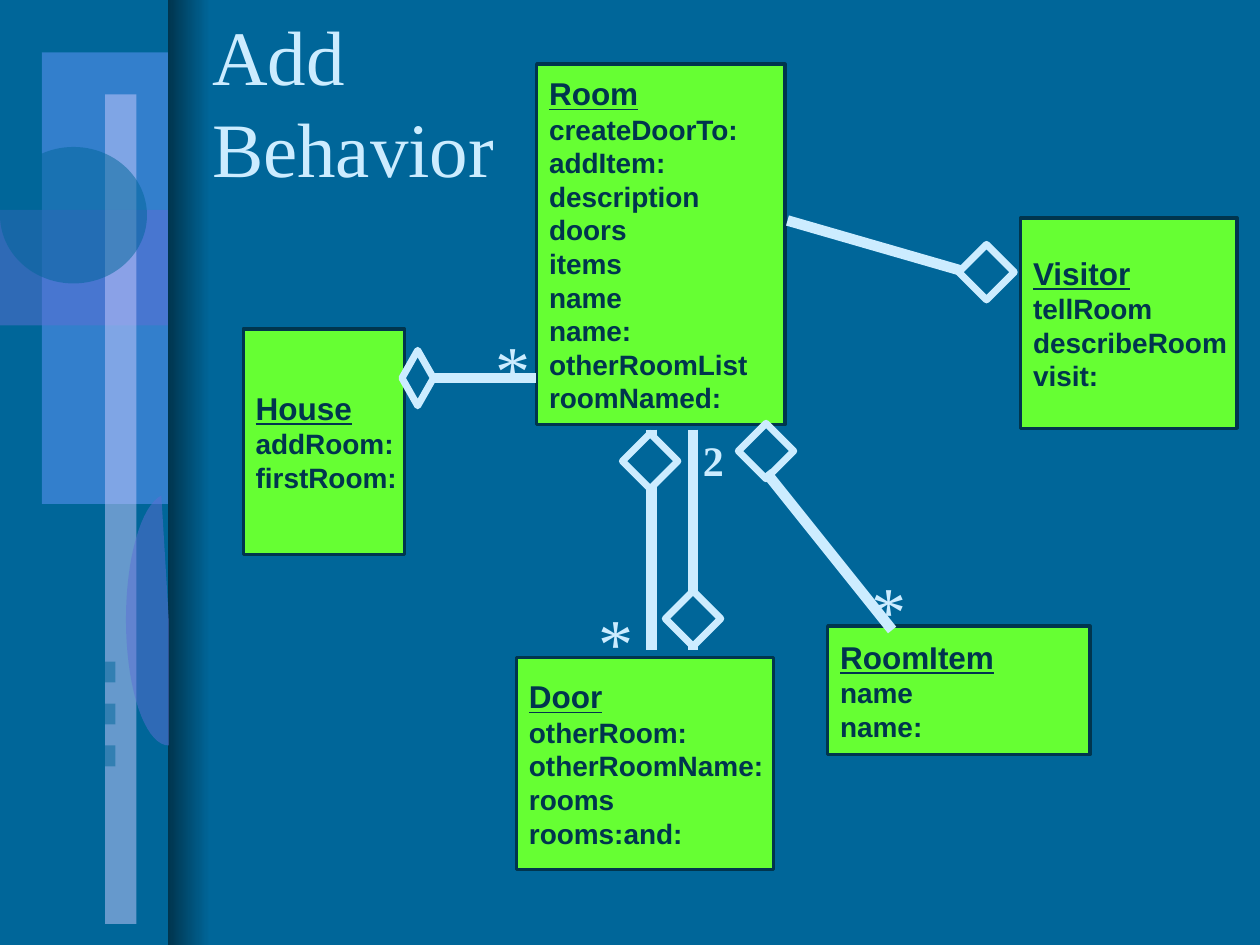
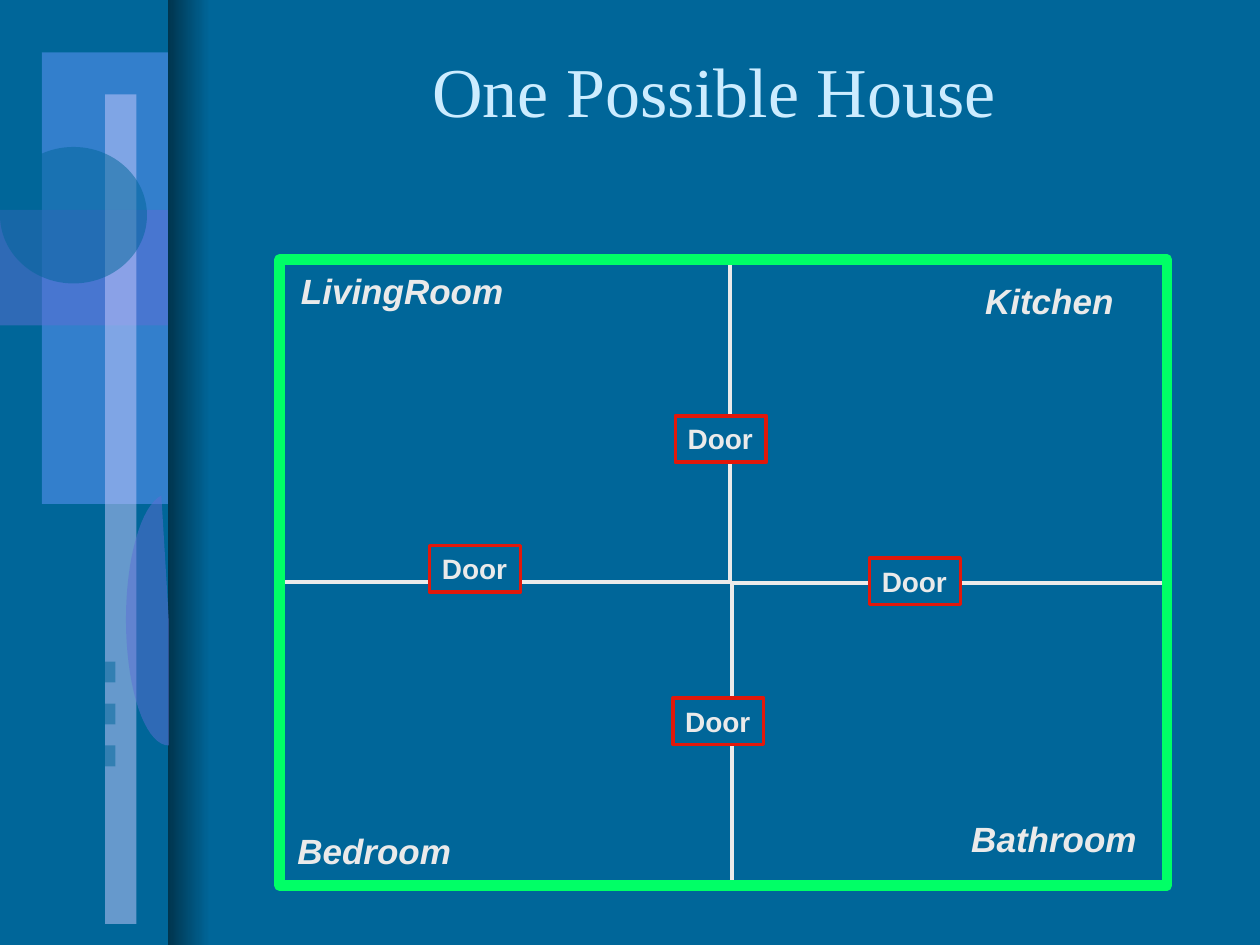
from math import cos, radians, sin

from lxml import etree
from pptx import Presentation
from pptx.dml.color import RGBColor
from pptx.enum.shapes import MSO_CONNECTOR, MSO_SHAPE
from pptx.enum.text import MSO_ANCHOR, MSO_AUTO_SIZE, PP_ALIGN
from pptx.oxml.ns import qn
from pptx.util import Pt

RECTANGLE, OVAL, DIAMOND = MSO_SHAPE.RECTANGLE, MSO_SHAPE.OVAL, MSO_SHAPE.DIAMOND
STRAIGHT = MSO_CONNECTOR.STRAIGHT
TOP, MIDDLE = MSO_ANCHOR.TOP, MSO_ANCHOR.MIDDLE
LEFT, CENTER = PP_ALIGN.LEFT, PP_ALIGN.CENTER
NO_FIT = MSO_AUTO_SIZE.NONE

SERIF, SANS = "Times New Roman", "Arial"
OCEAN, NAVY, ICE = "006699", "00354E", "CCECFF"
SKY, VIOLET, LILAC = "6699FF", "5E6FD4", "CCCCFF"
LIME, GREEN, RED, PALE = "66FF33", "00FF66", "E2180B", "EAEAEA"

PAGE_WIDTH, PAGE_HEIGHT = 720, 540

# Class name, members, box within the diagram
CLASSES = [
    ("House", ["addRoom:", "firstRoom:"], (0, 151.2, 92.2, 128.9)),
    ("Room", ["createDoorTo:", "addItem:", "description", "doors", "items", "name",
              "name:", "otherRoomList", "roomNamed:"], (167.7, 0, 141.8, 206)),
    ("Door", ["otherRoom:", "otherRoomName:", "rooms", "rooms:and:"],
     (156.2, 339.1, 146.9, 121)),
    ("Visitor", ["tellRoom", "describeRoom", "visit:"], (444.2, 87.9, 123.8, 120.2)),
    ("RoomItem", ["name", "name:"], (334, 321.1, 149.8, 73.4)),
]

# Line start, line end, diamond box, line drawn over the diamond
LINKS = [
    ((108, 179.3), (167, 179.3), (90.7, 163.5, 18, 31.7), False),
    ((233.2, 208.8), (233.2, 334.8), (216.7, 211, 31.7, 31.7), False),
    ((257, 208.8), (257, 334.8), (241.2, 301, 31.7, 31.7), False),
    ((298.8, 233.3), (370.8, 323.3), (282.9, 205.2, 31.7, 31.7), True),
    ((311, 89.3), (413.2, 118.8), (408.9, 103, 31.7, 31.7), False),
]
MANY_MARKS = [(136.8, 145.5), (195.8, 301.7), (352, 283.7)]
TWO_MARK = (255.6, 208.1)

# Room name, label box within the house
ROOMS = [
    ("LivingRoom", (5.1, 2.2, 130.3, 31)),
    ("Kitchen", (396, 8, 87.8, 31)),
    ("Bedroom", (3, 322, 102.2, 31)),
    ("Bathroom", (388.1, 315.5, 109.4, 31)),
]
DOORS = [(85.7, 163.5), (226.1, 89.3), (224.7, 250.6), (337, 170.7)]


def color(hex_code):
    return RGBColor.from_string(hex_code)


def points(values):
    return [Pt(value) for value in values]


def inside(area, box):
    """Shift a box or point from area coordinates to page coordinates."""
    return (area[0] + box[0], area[1] + box[1], *box[2:])


def style(shape, fill=None, line=None, width=2, alpha=None):
    shape.shadow.inherit = False
    if fill:
        shape.fill.solid()
        shape.fill.fore_color.rgb = color(fill)
    else:
        shape.fill.background()
    if alpha:
        tint = next(shape.element.iter(qn("a:srgbClr")))
        etree.SubElement(tint, qn("a:alpha"), val=str(alpha * 1000))
    if line:
        shape.line.color.rgb = color(line)
        shape.line.width = Pt(width)
    else:
        shape.line.fill.background()
    return shape


def draw(shapes, kind, box, **look):
    return style(shapes.add_shape(kind, *points(box)), **look)


def write(shape, lines, size, font, ink, bold=False, italic=False,
          anchor=TOP, align=LEFT, wrap=False):
    frame = shape.text_frame
    frame.text = "\n".join(lines)
    frame.auto_size = NO_FIT
    frame.word_wrap = wrap
    frame.vertical_anchor = anchor
    for para in frame.paragraphs:
        para.alignment = align
        para.font.name, para.font.size = font, Pt(size)
        para.font.bold, para.font.italic = bold, italic
        para.font.color.rgb = color(ink)
    return frame


def label(page, box, words, size, font, ink, **look):
    write(page.shapes.add_textbox(*points(box)), [words], size, font, ink, **look)


def set_title(page, box, words, size, align):
    title = page.shapes.title
    title.left, title.top, title.width, title.height = points(box)
    write(title, [words], size, SERIF, ICE, anchor=MIDDLE, align=align, wrap=True)


def side_panel(page, layout):
    """Draw the decorated left band and hand it over to the layout."""
    group = page.shapes.add_group_shape()
    shapes = group.shapes

    # Shaded edge
    edge = draw(shapes, RECTANGLE, (96, 0, 24, PAGE_HEIGHT), fill=OCEAN)
    edge.fill.gradient()
    edge.fill.gradient_angle = 180
    for stop, position, shade in zip(edge.fill.gradient_stops, (0, 1), (OCEAN, NAVY)):
        stop.position = position
        stop.color.rgb = color(shade)

    # Translucent blocks
    for kind, box, tint in [
        (RECTANGLE, (24, 30, 72, 258), SKY),
        (RECTANGLE, (0, 120, 96, 66), VIOLET),
        (RECTANGLE, (60, 54, 18, 474), LILAC),
        (OVAL, (0, 84, 84, 78), OCEAN),
    ]:
        draw(shapes, kind, box, fill=tint, alpha=50)
    for row in range(3):
        draw(shapes, RECTANGLE, (0, 378 + 24 * row, 66, 12), fill=OCEAN, alpha=50)

    # Half ellipse against the edge
    center_x, center_y, radius_x, radius_y = 96.5, 354, 24.5, 72
    arc = [(center_x + radius_x * cos(radians(angle)),
            center_y + radius_y * sin(radians(angle))) for angle in range(90, 261, 5)]
    outline = shapes.build_freeform(Pt(center_x), Pt(center_y))
    outline.add_line_segments([points(point) for point in arc], close=True)
    style(outline.convert_to_shape(), fill=VIOLET, alpha=50)

    for number, properties in enumerate(group.element.iter(qn("p:cNvPr")), 100):
        properties.set("id", str(number))
    layout.shapes.element.insert(2, group.element)


def class_box(page, box, name, members):
    shape = draw(page.shapes, RECTANGLE, box, fill=LIME, line=NAVY)
    frame = write(shape, [name, *members], 16, SANS, NAVY, bold=True, anchor=MIDDLE)
    heading = frame.paragraphs[0].font
    heading.size, heading.underline = Pt(18), True


def link_line(page, start, end):
    line = page.shapes.add_connector(STRAIGHT, *points(start + end))
    line.line.color.rgb = color(ICE)
    line.line.width = Pt(6)
    etree.SubElement(line.element.spPr, qn("a:effectLst"))


def class_diagram(page, area):
    for name, members, box in CLASSES:
        class_box(page, inside(area, box), name, members)

    # Aggregation links
    for start, end, diamond, line_on_top in LINKS:
        ends = inside(area, start), inside(area, end)
        if not line_on_top:
            link_line(page, *ends)
        draw(page.shapes, DIAMOND, inside(area, diamond), fill=OCEAN, line=ICE, width=4)
        if line_on_top:
            link_line(page, *ends)

    # Multiplicities
    for spot in MANY_MARKS:
        label(page, inside(area, (*spot, 37, 55)), "*", 40, SERIF, ICE, wrap=True)
    label(page, inside(area, (*TWO_MARK, 26.6, 36)), "2", 24, SERIF, ICE, bold=True)


def floor_plan(page, house):
    width, height = house[2:]
    # Inner walls
    for walls in [(0, 0, 257.5, 184.3), (258.5, 185, width - 258.5, height - 185)]:
        draw(page.shapes, RECTANGLE, inside(house, walls), line=PALE)
    for name, box in ROOMS:
        label(page, inside(house, box), name, 20, SANS, PALE, bold=True, italic=True)
    for spot in DOORS:
        door = draw(page.shapes, RECTANGLE, inside(house, (*spot, 52, 26.6)),
                    fill=OCEAN, line=RED)
        write(door, ["Door"], 16, SANS, PALE, bold=True)
    # Outer wall
    draw(page.shapes, RECTANGLE, house, line=GREEN, width=6)


def main():
    deck = Presentation()
    deck.slide_width, deck.slide_height = Pt(PAGE_WIDTH), Pt(PAGE_HEIGHT)
    backdrop = deck.slide_master.background.fill
    backdrop.solid()
    backdrop.fore_color.rgb = color(OCEAN)
    layout = deck.slide_layouts[5]

    behavior = deck.slides.add_slide(layout)
    side_panel(behavior, layout)
    set_title(behavior, (114, 7, 186, 101), "Add\vBehavior", 44, LEFT)
    class_diagram(behavior, (139, 36.7))

    house = deck.slides.add_slide(layout)
    set_title(house, (102, 6, 612, 90), "One Possible House", 40, CENTER)
    floor_plan(house, (159.8, 148.3, 507, 357.8))

    deck.save("out.pptx")


if __name__ == "__main__":
    main()
